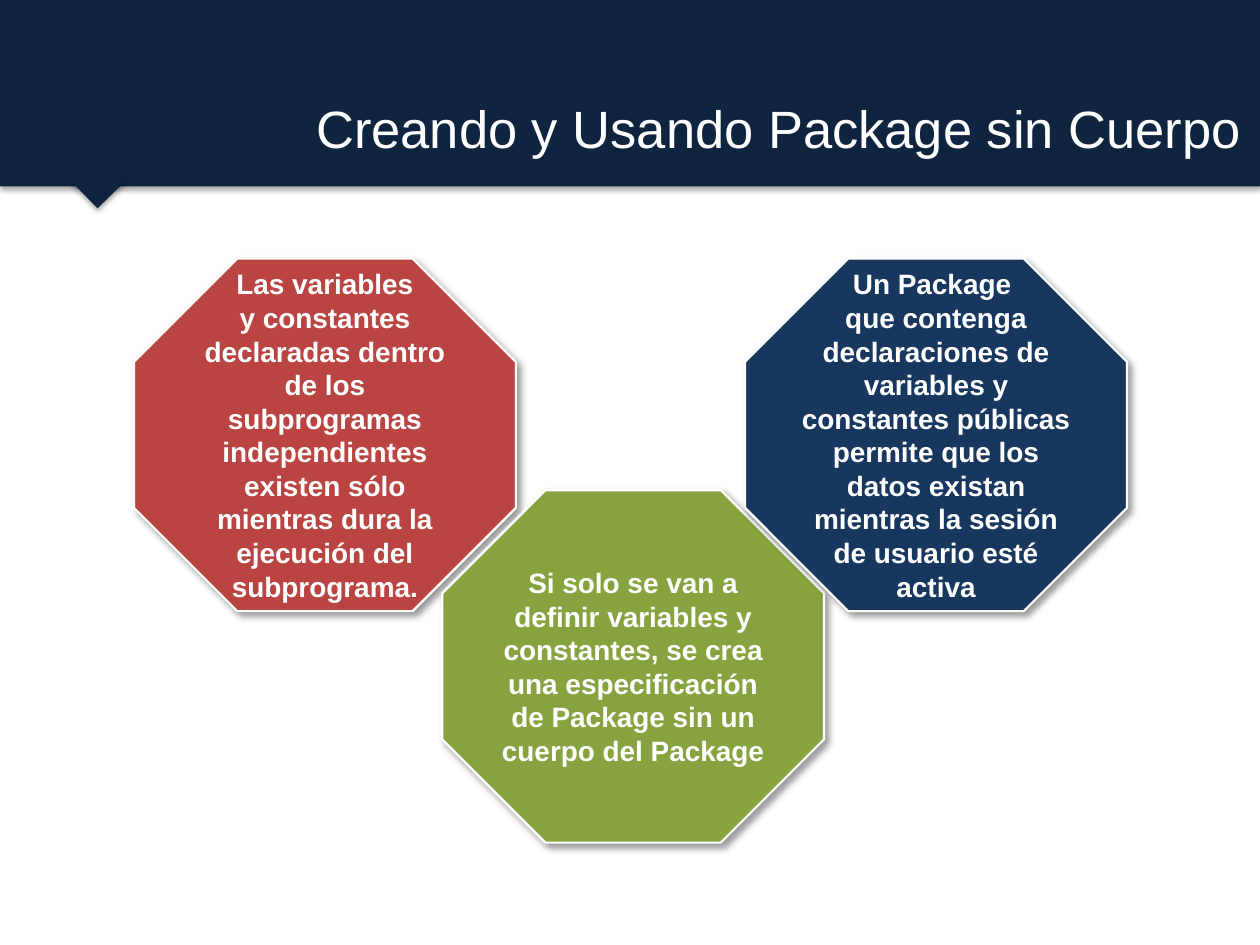
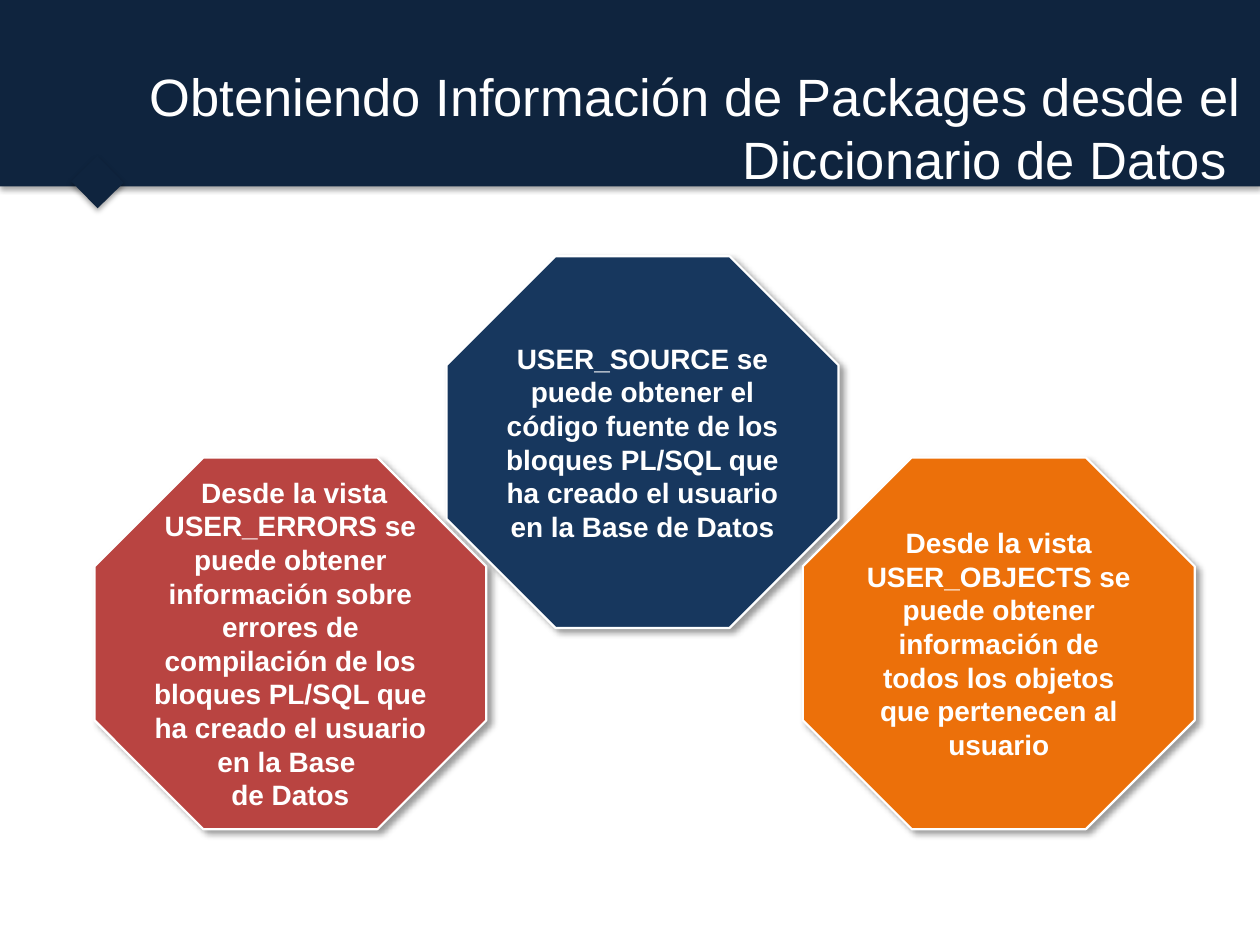
from lxml.etree import SubElement
from pptx import Presentation
from pptx.dml.color import RGBColor
from pptx.enum.shapes import MSO_SHAPE
from pptx.enum.text import MSO_ANCHOR, PP_ALIGN
from pptx.oxml.ns import qn
from pptx.util import Pt

NAVY, BLUE, RED, GREEN, ORANGE, WHITE = "0F243E", "17375E", "B94441", "86A33F", "EC700A", "FFFFFF"
BAND_SHADOW = {"opacity": 35, "blur": 3.1, "distance": 1.8, "angle": 90}
OCTAGON_SHADOW = {"opacity": 40, "blur": 4, "distance": 3, "angle": 45}


def color(value):
    """Turn a hex string into a colour."""
    return RGBColor.from_string(value)


class Deck:
    """Hold the shared style and the current slide."""

    font = "Arial"
    title_size = 30
    body_size = 16

    def __init__(self):
        """Start an empty deck of 10 by 7.5 inches."""
        self.deck = Presentation()
        self.deck.slide_width, self.deck.slide_height = Pt(720), Pt(540)
        self.page = None

    def add_page(self, title):
        """Add a page with its band, marker and title."""
        self.page = self.deck.slides.add_slide(self.deck.slide_layouts[6])
        self.shape(MSO_SHAPE.RECTANGLE, (0, 0, 720, 106.5), NAVY, BAND_SHADOW)
        marker = self.shape(MSO_SHAPE.RECTANGLE, (44.9, 93.6, 21.6, 20.9), NAVY, BAND_SHADOW)
        marker.rotation = 45.6
        box = self.page.shapes.add_textbox(*map(Pt, (25.2, 15.1, 691.2, 115.2)))
        self.text(box.text_frame, [title], self.title_size, PP_ALIGN.RIGHT)

    def shape(self, kind, bounds, fill, shadow):
        """Add a filled preset shape with a soft shadow."""
        shape = self.page.shapes.add_shape(kind, *map(Pt, bounds))
        shape.fill.solid()
        shape.fill.fore_color.rgb = color(fill)
        shape.line.fill.background()
        self.shadow(shape, **shadow)
        return shape

    def shadow(self, shape, opacity, blur, distance, angle):
        """Give a shape a black outer shadow."""
        shape.shadow.inherit = False
        effects = shape._element.spPr.find(qn("a:effectLst"))
        outer = SubElement(effects, qn("a:outerShdw"), blurRad=str(Pt(blur)), dist=str(Pt(distance)),
                           dir=str(angle * 60000), rotWithShape="0")
        black = SubElement(outer, qn("a:srgbClr"), val="000000")
        SubElement(black, qn("a:alpha"), val=str(opacity * 1000))

    def octagon(self, bounds, fill, paragraphs):
        """Add an outlined octagon with centred bold text."""
        shape = self.shape(MSO_SHAPE.OCTAGON, bounds, fill, OCTAGON_SHADOW)
        shape.line.color.rgb = color(WHITE)
        shape.line.width = Pt(1.25)
        frame = shape.text_frame
        frame.margin_left = frame.margin_right = frame.margin_top = frame.margin_bottom = 0
        self.text(frame, paragraphs, self.body_size, PP_ALIGN.CENTER, bold=True)

    def text(self, frame, paragraphs, size, alignment, bold=False):
        """Write white paragraphs into a text frame."""
        frame.word_wrap = True
        frame.vertical_anchor = MSO_ANCHOR.MIDDLE
        for index, words in enumerate(paragraphs):
            para = frame.add_paragraph() if index else frame.paragraphs[0]
            para.alignment = alignment
            span = para.add_run()
            span.text = words
            span.font.name = self.font
            span.font.size = Pt(size)
            span.font.bold = bold
            span.font.color.rgb = color(WHITE)

    def octagons(self, size, items):
        """Add octagons of one size from their corners, fills and texts."""
        for left, top, fill, paragraphs in items:
            self.octagon((left, top, *size), fill, paragraphs)


def main():
    """Build and save both pages."""
    deck = Deck()

    deck.add_page("Creando y Usando Package sin Cuerpo")
    upper, lower = 147.8, 280.1
    deck.octagons((218.2, 201.4), [
        (76.6, upper, RED, [
            " Las variables ",
            "y constantes declaradas dentro de los subprogramas independientes existen sólo "
            "mientras dura la ejecución del subprograma."]),
        (252.7, lower, GREEN, [
            "Si solo se van a definir variables y constantes, se crea una especificación "
            "de Package sin un cuerpo del Package"]),
        (425.8, upper, BLUE, [
            "Un Package ",
            "que contenga declaraciones de variables y constantes públicas permite que los "
            "datos existan mientras la sesión de usuario esté activa"]),
    ])

    deck.add_page("Obteniendo Información de Packages desde el Diccionario de Datos ")
    upper, lower = 146.4, 261.4
    deck.octagons((223.9, 212.4), [
        (54, lower, RED, [
            " Desde la vista USER_ERRORS se puede obtener información sobre errores de "
            "compilación de los bloques PL/SQL que ha creado el usuario en la Base ",
            "de Datos"]),
        (255.2, upper, BLUE, [
            "USER_SOURCE se puede obtener el código fuente de los bloques PL/SQL que "
            "ha creado el usuario en la Base de Datos"]),
        (458.8, lower, ORANGE, [
            "Desde la vista USER_OBJECTS se puede obtener información de todos los objetos "
            "que pertenecen al usuario"]),
    ])

    deck.deck.save("out.pptx")


if __name__ == "__main__":
    main()
